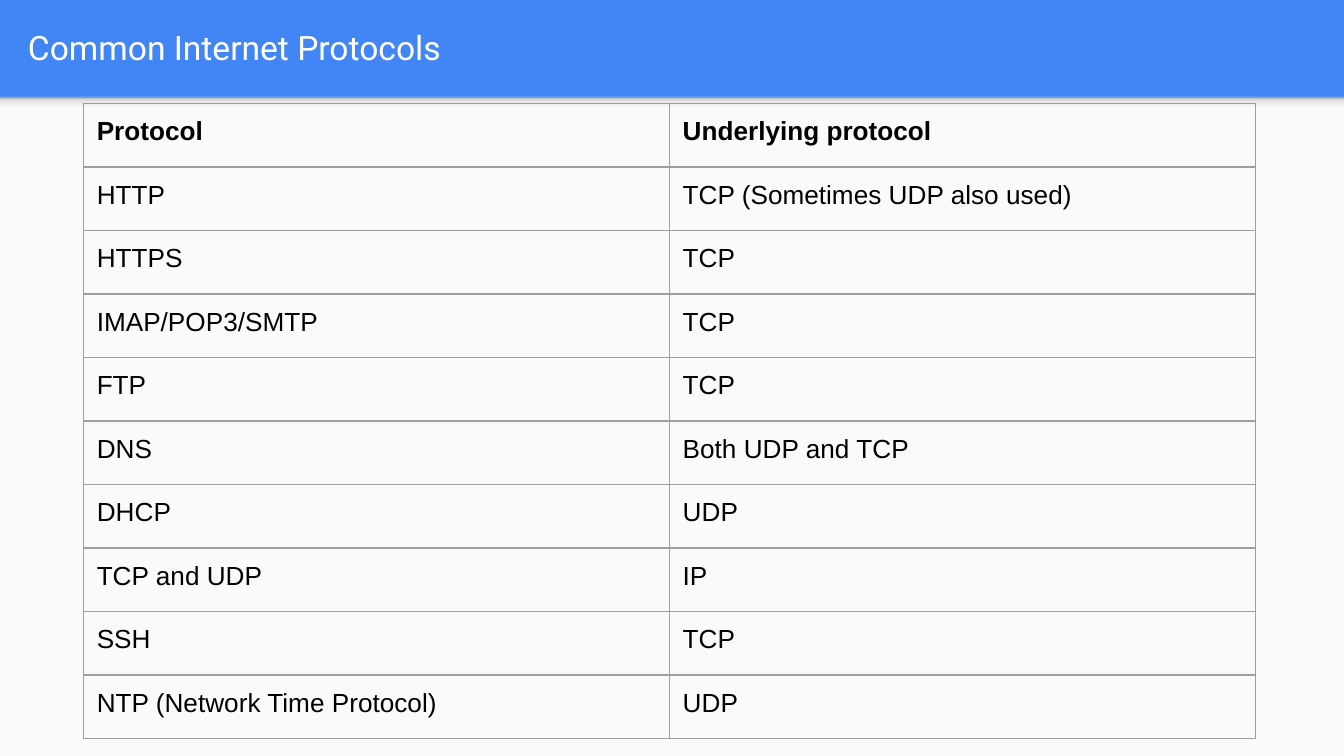
from typing import NamedTuple

import lxml.etree
import pptx
import pptx.dml.color
import pptx.enum.shapes
import pptx.enum.text
import pptx.oxml.ns
import pptx.util

Inches = pptx.util.Inches
Pt = pptx.util.Pt
qn = pptx.oxml.ns.qn

COLORS = {
    "header": "4285F4",
    "body": "FAFAFA",
    "title": "FFFFFF",
    "text": "000000",
    "border": "9E9E9E",
}
SHADOW_STOPS = [(0, "F9F9F9"), (36, "F9F9F9"), (80, "DEDEDE"), (100, "999999")]
ROW_HEIGHT = 0.4725
COLUMN_WIDTH = 4.36
MARGIN = 0.1


class Box(NamedTuple):
    left: float
    top: float
    width: float
    height: float

    def lengths(self) -> list:
        return [Inches(value) for value in self]


class Entry(NamedTuple):
    protocol: str
    underlying: str


ENTRIES = [
    Entry("Protocol", "Underlying protocol"),
    Entry("HTTP", "TCP (Sometimes UDP also used)"),
    Entry("HTTPS", "TCP"),
    Entry("IMAP/POP3/SMTP", "TCP"),
    Entry("FTP", "TCP"),
    Entry("DNS", "Both UDP and TCP"),
    Entry("DHCP", "UDP"),
    Entry("TCP and UDP", "IP"),
    Entry("SSH", "TCP"),
    Entry("NTP (Network Time Protocol)", "UDP"),
]


def rgb(name: str) -> pptx.dml.color.RGBColor:
    return pptx.dml.color.RGBColor.from_string(COLORS[name])


def add_rectangle(slide, box: Box):
    shape = slide.shapes.add_shape(
        pptx.enum.shapes.MSO_SHAPE.RECTANGLE, *box.lengths())
    shape.shadow.inherit = False
    shape.line.fill.background()
    return shape


def add_header_shadow(slide, box: Box) -> None:
    shape = add_rectangle(slide, box)
    shape.fill.gradient()
    shape.fill.gradient_angle = 90
    stop_list = next(shape._element.iter(qn("a:gsLst")))
    for stop in list(stop_list):
        stop_list.remove(stop)
    for position, color in SHADOW_STOPS:
        stop = lxml.etree.SubElement(stop_list, qn("a:gs"), pos=str(position * 1000))
        lxml.etree.SubElement(stop, qn("a:srgbClr"), val=color)


def style_paragraph(paragraph, font_name: str, size: int, color: str, bold: bool) -> None:
    font = paragraph.font
    font.name, font.size, font.bold = font_name, Pt(size), bold
    font.color.rgb = rgb(color)


def set_margins(holder) -> None:
    holder.margin_left = holder.margin_right = Inches(MARGIN)
    holder.margin_top = holder.margin_bottom = Inches(MARGIN)


def add_title(slide, text: str, box: Box) -> None:
    frame = slide.shapes.add_textbox(*box.lengths()).text_frame
    frame.word_wrap = True
    frame.vertical_anchor = pptx.enum.text.MSO_ANCHOR.MIDDLE
    set_margins(frame)
    frame.text = text
    style_paragraph(frame.paragraphs[0], "Roboto", 18, "title", False)


def set_borders(cell) -> None:
    properties = cell._tc.get_or_add_tcPr()
    for index, side in enumerate(("a:lnL", "a:lnR", "a:lnT", "a:lnB")):
        line = lxml.etree.Element(qn(side), w=str(Pt(0.75)))
        fill = lxml.etree.SubElement(line, qn("a:solidFill"))
        lxml.etree.SubElement(fill, qn("a:srgbClr"), val=COLORS["border"])
        properties.insert(index, line)


def add_protocol_table(slide, entries: list[Entry], left: float, top: float) -> None:
    columns = len(Entry._fields)
    box = Box(left, top, columns * COLUMN_WIDTH, len(entries) * ROW_HEIGHT)
    table = slide.shapes.add_table(len(entries), columns, *box.lengths()).table
    table.first_row = table.horz_banding = False
    for row_index, entry in enumerate(entries):
        for column_index, text in enumerate(entry):
            cell = table.cell(row_index, column_index)
            cell.text = text
            cell.fill.background()
            set_margins(cell)
            set_borders(cell)
            style_paragraph(cell.text_frame.paragraphs[0], "Arial", 14, "text",
                            row_index == 0)


def main() -> None:
    presentation = pptx.Presentation()
    presentation.slide_width = Inches(10)
    presentation.slide_height = Inches(5.625)
    slide = presentation.slides.add_slide(presentation.slide_layouts[6])

    # Blue header comes from the background, the body panel covers the rest
    slide.background.fill.solid()
    slide.background.fill.fore_color.rgb = rgb("header")
    body = add_rectangle(slide, Box(0, 0.72, 10, 4.91))
    body.fill.solid()
    body.fill.fore_color.rgb = rgb("body")
    add_header_shadow(slide, Box(0, 0.72, 10, 0.12))

    # Title and table
    add_title(slide, "Common Internet Protocols", Box(0.11, 0.02, 9.65, 0.66))
    add_protocol_table(slide, ENTRIES, left=0.62, top=0.77)

    presentation.save("out.pptx")


if __name__ == "__main__":
    main()
